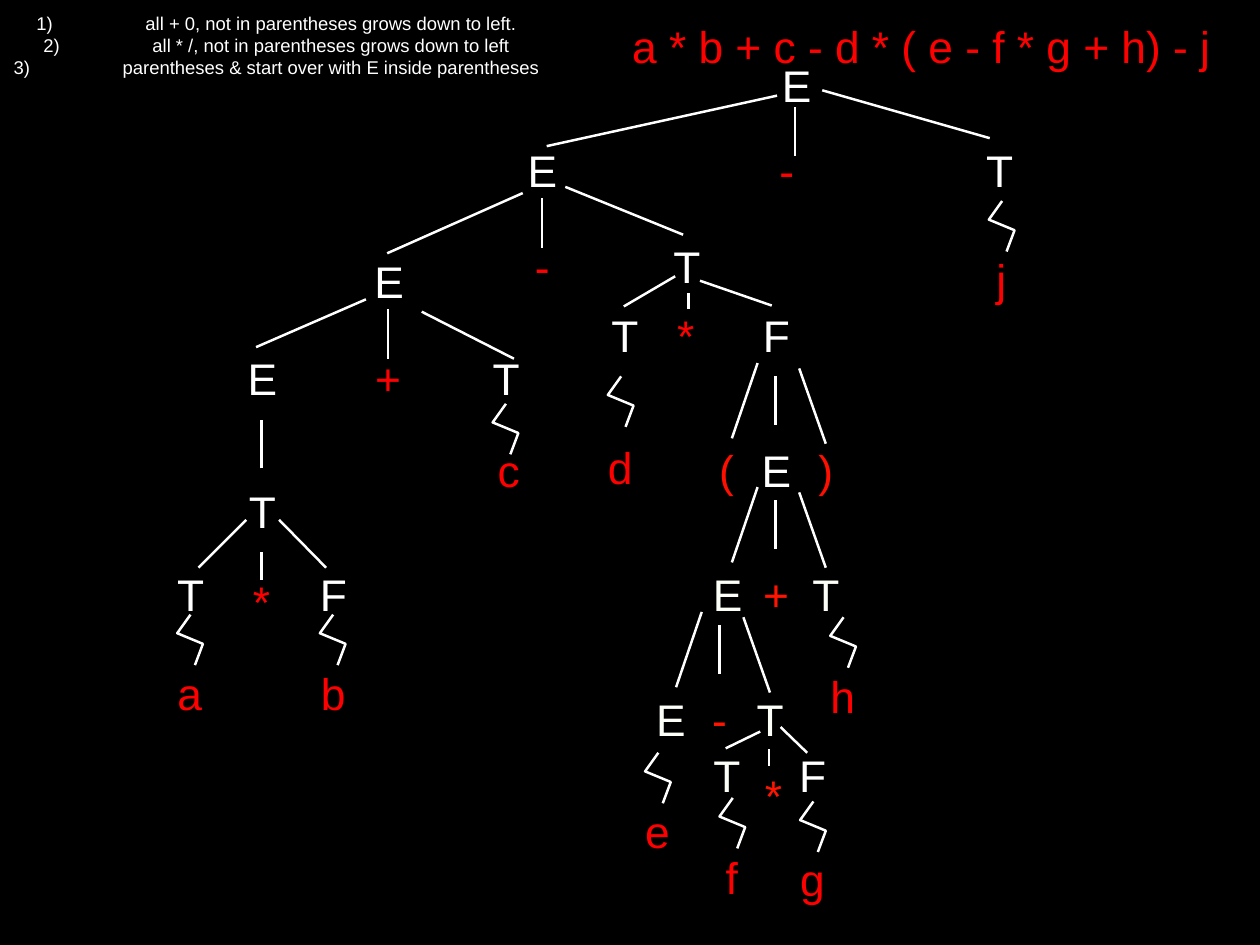
"""Build the slide that derives an arithmetic expression as a parse tree."""
from dataclasses import dataclass

from lxml.etree import SubElement
from pptx import Presentation
from pptx.dml.color import RGBColor
from pptx.enum.shapes import MSO_CONNECTOR
from pptx.enum.text import MSO_ANCHOR, MSO_AUTO_SIZE, PP_ALIGN
from pptx.oxml.ns import qn
from pptx.util import Inches, Pt

BLACK = RGBColor(0x00, 0x00, 0x00)
WHITE = RGBColor(0xFF, 0xFF, 0xFF)
CREAM = RGBColor(0xFC, 0xFF, 0xF7)
RED = RGBColor(0xFF, 0x00, 0x00)
BRACKET_RED = RGBColor(0xFF, 0x0F, 0x00)
INNER_RED = RGBColor(0xFF, 0x14, 0x00)

FONT = "Arial"
FORMULA = "a * b + c - d * ( e - f * g + h) - j"
RULES = (
    "all + 0, not in parentheses grows down to left.",
    "all * /, not in parentheses grows down to left",
    "parentheses & start over with E inside parentheses",
)
RULE_INDENT = Inches(1.23)
SYMBOL_HEIGHT = 0.71
SYMBOL_WIDTHS = {"E": 0.43, "b": 0.43, "d": 0.43, "g": 0.43, "+": 0.46, "*": 0.32,
                 "-": 0.29, "(": 0.29, ")": 0.29, "f": 0.26, "j": 0.24}
DEFAULT_WIDTH = 0.4
FAN = ((-0.2, 0, -0.49, 0.85), (0, 0.15, 0, 0.7), (0.27, 0.06, 0.57, 0.91))
ZIGZAG = ((0.15, 0), (0, 0.21), (0.29, 0.33), (0.2, 0.57))


@dataclass
class Subtree:
    """Symbols (text, centre, top), branches, fans and zigzags within a box."""
    box: tuple
    symbols: tuple
    branches: tuple = ()
    fans: tuple = ()
    zigzags: tuple = ()
    variable_color: RGBColor = WHITE
    operator_color: RGBColor = RED


ROOT = Subtree(
    box=(5.9, 0.6),
    symbols=(("E", 3.08, 0), ("E", 0.21, 0.96), ("-", 2.98, 0.96), ("T", 5.37, 0.96),
             ("j", 5.4, 2.19)),
    branches=((0.27, 1.05, 2.87, 0.48), (3.07, 1.16, 3.07, 0.61), (5.27, 0.96, 3.38, 0.42)),
    zigzags=((5.26, 1.67),),
)
DIFFERENCE = Subtree(
    box=(4.1, 2.1),
    symbols=(("E", 0.28, 0.72), ("-", 2.02, 0.55), ("T", 3.64, 0.55)),
    branches=((0.27, 0.76, 1.8, 0.08), (2.02, 0.7, 2.02, 0.14), (3.61, 0.55, 2.28, 0.01)),
)
SUM = Subtree(
    box=(1.9, 3.3),
    symbols=(("E", 1.05, 0.61), ("+", 2.48, 0.61), ("T", 3.8, 0.61), ("c", 3.84, 1.65),
             ("T", 1.05, 2.11), ("T", 0.24, 3.05), ("*", 1.05, 3.13), ("F", 1.85, 3.05),
             ("a", 0.24, 4.17), ("b", 1.86, 4.17)),
    branches=((0.99, 0.62, 2.23, 0.08), (2.48, 0.75, 2.48, 0.19), (3.9, 0.75, 2.86, 0.22),
              (1.05, 1.99, 1.05, 1.44), (0.34, 3.11, 0.88, 2.57), (1.05, 3.25, 1.05, 2.93),
              (1.78, 3.11, 1.25, 2.57)),
    zigzags=((0.1, 3.64), (1.71, 3.64), (3.66, 1.26)),
)
PRODUCT = Subtree(
    box=(6.8, 3.1),
    symbols=(("T", 0.24, 0.33), ("*", 0.94, 0.33), ("F", 1.95, 0.33), ("d", 0.2, 1.82)),
    branches=((0.24, 0.36, 0.82, 0.02), (0.97, 0.39, 0.97, 0.21), (1.1, 0.07, 1.91, 0.35)),
    zigzags=((0.06, 1.15),),
)
BRACKETS = Subtree(
    box=(8, 4.1),
    symbols=(("(", 0.2, 0.85), ("E", 0.75, 0.85), (")", 1.32, 0.85)),
    fans=((0.75, 0),),
    operator_color=BRACKET_RED,
)
BRACKETED_SUM = Subtree(
    box=(7.2, 5.5),
    symbols=(("E", 1, 0.85), ("+", 1.56, 0.85), ("T", 2.11, 0.85), ("h", 2.31, 2),
             ("E", 0.36, 2.26), ("-", 0.92, 2.26), ("T", 1.48, 2.26), ("e", 0.22, 3.53),
             ("T", 0.99, 2.89), ("*", 1.53, 3.12), ("F", 1.96, 2.89),
             ("f", 1.06, 4.04), ("g", 1.97, 4.07)),
    branches=((0.99, 2.95, 1.38, 2.76), (1.48, 3.15, 1.48, 2.96), (1.91, 3, 1.61, 2.71)),
    fans=((1.55, 0), (0.92, 1.41)),
    zigzags=((2.17, 1.47), (0.08, 3), (0.92, 3.51), (1.83, 3.55)),
    variable_color=CREAM,
    operator_color=INNER_RED,
)


def format_text(shape, size, color):
    """Centre the text of a shape and give it its font."""
    frame = shape.text_frame
    frame.word_wrap = False
    frame.auto_size = MSO_AUTO_SIZE.SHAPE_TO_FIT_TEXT
    frame.vertical_anchor = MSO_ANCHOR.MIDDLE
    frame.margin_left = frame.margin_right = Inches(0.06)
    frame.margin_top = frame.margin_bottom = Inches(0.06)
    for paragraph in frame.paragraphs:
        paragraph.alignment = PP_ALIGN.CENTER
        for run in paragraph.runs:
            run.font.name = FONT
            run.font.size = Pt(size)
            run.font.color.rgb = color


def add_rules(slide, left, top, width, height):
    """Add the numbered list of derivation rules."""
    shape = slide.shapes.add_textbox(Inches(left), Inches(top), Inches(width), Inches(height))
    shape.text_frame.text = "\n".join(RULES)
    format_text(shape, 15, WHITE)
    for paragraph in shape.text_frame.paragraphs:
        properties = paragraph._p.get_or_add_pPr()
        properties.set("marL", str(RULE_INDENT))
        properties.set("indent", str(-RULE_INDENT))
        SubElement(properties, qn("a:buAutoNum"), type="arabicParenR")


def add_formula(slide, left, top, width, height):
    """Place the expression in the title placeholder."""
    title = slide.shapes.title
    title.left, title.top = Inches(left), Inches(top)
    title.width, title.height = Inches(width), Inches(height)
    title.text_frame.text = FORMULA
    format_text(title, 36, RED)


def add_symbol(slide, text, center, top, color):
    """Add one grammar symbol centred on a point."""
    width = SYMBOL_WIDTHS.get(text, DEFAULT_WIDTH)
    shape = slide.shapes.add_textbox(Inches(center - width / 2), Inches(top),
                                     Inches(width), Inches(SYMBOL_HEIGHT))
    shape.text_frame.text = text
    format_text(shape, 36, color)


def format_line(line):
    """Give a line its colour and width."""
    line.color.rgb = WHITE
    line.width = Pt(2)


def add_branch(slide, left, top, branch):
    """Add a straight branch relative to a point."""
    x1, y1, x2, y2 = branch
    connector = slide.shapes.add_connector(
        MSO_CONNECTOR.STRAIGHT, Inches(left + x1), Inches(top + y1),
        Inches(left + x2), Inches(top + y2))
    format_line(connector.line)
    SubElement(connector._element.spPr, qn("a:effectLst"))


def add_zigzag(slide, left, top):
    """Add the zigzag that shortens a derivation down to a leaf."""
    start, *rest = [(Inches(left + x), Inches(top + y)) for x, y in ZIGZAG]
    builder = slide.shapes.build_freeform(*start)
    builder.add_line_segments(rest, close=False)
    shape = builder.convert_to_shape()
    shape.shadow.inherit = False
    shape.fill.background()
    format_line(shape.line)


def symbol_color(text, subtree):
    """Choose the colour of a symbol by its role in the grammar."""
    if text == "F":
        return WHITE
    if text in "ET":
        return subtree.variable_color
    return RED if text.isalpha() else subtree.operator_color


def add_subtree(slide, subtree):
    """Draw one part of the parse tree relative to its box."""
    left, top = subtree.box
    for text, center, offset in subtree.symbols:
        add_symbol(slide, text, left + center, top + offset, symbol_color(text, subtree))
    for branch in subtree.branches:
        add_branch(slide, left, top, branch)
    for x, y in subtree.fans:
        for branch in FAN:
            add_branch(slide, left + x, top + y, branch)
    for x, y in subtree.zigzags:
        add_zigzag(slide, left + x, top + y)


presentation = Presentation()
presentation.slide_width, presentation.slide_height = Inches(14.22), Inches(10.67)
slide = presentation.slides.add_slide(presentation.slide_layouts[5])
slide.background.fill.solid()
slide.background.fill.fore_color.rgb = BLACK
add_rules(slide, 0.08, 0.08, 6.08, 0.86)
add_formula(slide, 6.98, 0.16, 6.84, 0.71)
for subtree in (ROOT, DIFFERENCE, SUM, PRODUCT, BRACKETS, BRACKETED_SUM):
    add_subtree(slide, subtree)
presentation.save("out.pptx")
